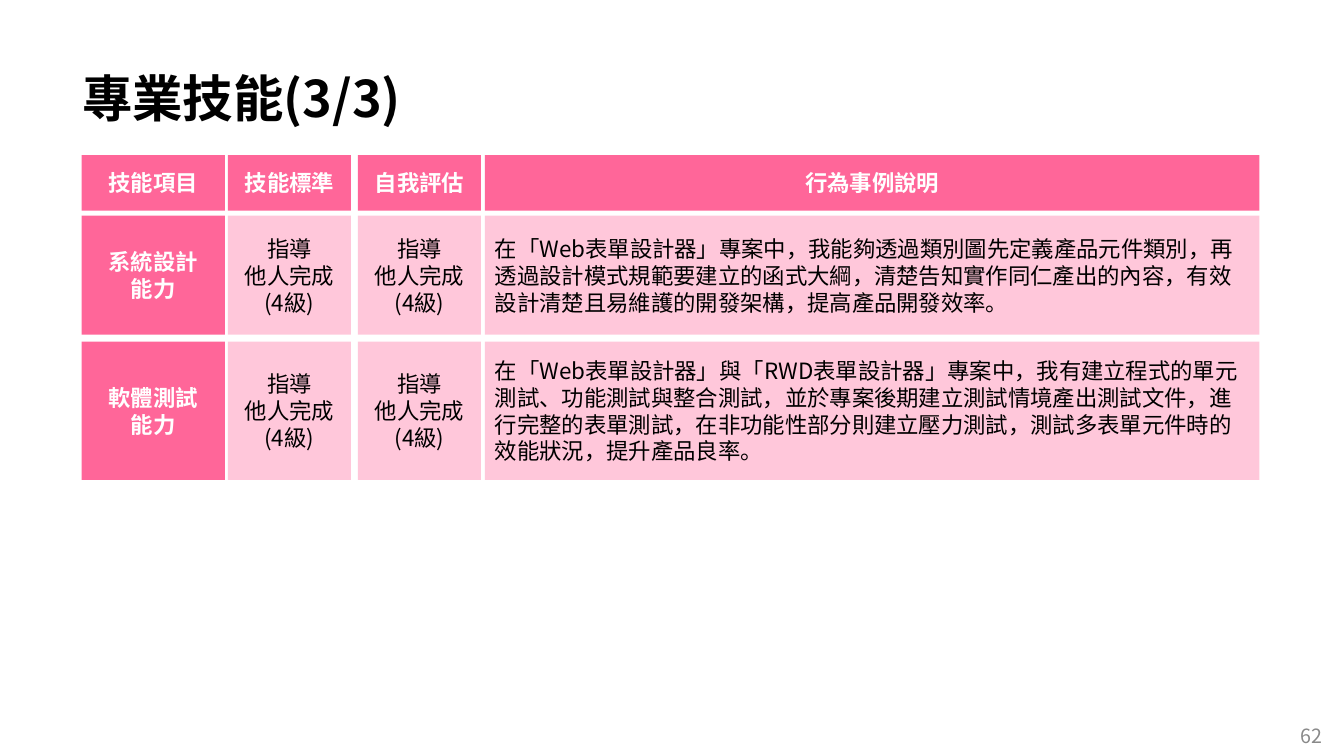
"""Builds the professional skills slide: a grid of skill cells with title and page number."""
from lxml import etree
from pptx import Presentation
from pptx.dml.color import RGBColor
from pptx.enum.shapes import MSO_SHAPE
from pptx.enum.text import MSO_ANCHOR, PP_ALIGN
from pptx.oxml.ns import qn
from pptx.util import Inches, Pt

RECT = MSO_SHAPE.RECTANGLE
TOP, MIDDLE = MSO_ANCHOR.TOP, MSO_ANCHOR.MIDDLE
LEFT, CENTER = PP_ALIGN.LEFT, PP_ALIGN.CENTER

FONT = "Noto Sans CJK SC"
PINK, WHITE, BLACK, GRAY = "FF6699", "FFFFFF", "000000", "898989"
TINT_ALPHA = 36

TITLE = "專業技能(3/3)"
PAGE_NUMBER = "62"
LEVEL = ["指導", "他人完成", "(4級)"]
ROWS = [
    [["技能項目"], ["技能標準"], ["自我評估"], ["行為事例說明"]],
    [["系統設計", "能力"], LEVEL, LEVEL,
     ["在「Web表單設計器」專案中，我能夠透過類別圖先定義產品元件類別，"
      "再透過設計模式規範要建立的函式大綱，清楚告知實作同仁產出的內容，"
      "有效設計清楚且易維護的開發架構，提高產品開發效率。"]],
    [["軟體測試", "能力"], LEVEL, LEVEL,
     ["在「Web表單設計器」與「RWD表單設計器」專案中，我有建立程式的單元測試、"
      "功能測試與整合測試，並於專案後期建立測試情境產出測試文件，"
      "進行完整的表單測試，在非功能性部分則建立壓力測試，"
      "測試多表單元件時的效能狀況，提升產品良率。"]],
]
COLUMNS = [(0.81, 1.42), (2.26, 1.22), (3.55, 1.22), (4.81, 7.68)]
BANDS = [(1.54, 0.55), (2.14, 1.18), (3.39, 1.37)]


def rgb(color):
    return RGBColor.from_string(color)


def write(sp, lines, size, color, bold=False, align=CENTER, anchor=MIDDLE):
    tf = sp.text_frame
    tf.word_wrap = True
    tf.vertical_anchor = anchor
    for i, line in enumerate(lines):
        p = tf.paragraphs[0] if i == 0 else tf.add_paragraph()
        p.alignment = align
        r = p.add_run()
        r.text = line
        r.font.size = Pt(size)
        r.font.bold = bold
        r.font.name = FONT
        r.font.color.rgb = rgb(color)
        etree.SubElement(r.font._element, qn("a:ea"), typeface=FONT)


def add_cell(s, box, lines, solid, align):
    sp = s.shapes.add_shape(RECT, *map(Inches, box))
    sp.shadow.inherit = False
    sp.line.fill.background()
    sp.fill.solid()
    sp.fill.fore_color.rgb = rgb(PINK)
    if not solid:
        clr = sp._element.spPr.find(qn("a:solidFill")).find(qn("a:srgbClr"))
        etree.SubElement(clr, qn("a:alpha"), val=str(TINT_ALPHA * 1000))
    write(sp, lines, 16, WHITE if solid else BLACK, solid, align)


def add_text(s, box, text, size, color, bold, anchor):
    sp = s.shapes.add_textbox(*map(Inches, box))
    write(sp, [text], size, color, bold, anchor=anchor)


def main():
    prs = Presentation()
    prs.slide_width, prs.slide_height = Inches(13.33), Inches(7.5)
    s = prs.slides.add_slide(prs.slide_layouts[6])
    add_text(s, (0.52, 0.62, 3.75, 0.74), TITLE, 36, BLACK, True, TOP)
    for i, (row, (y, h)) in enumerate(zip(ROWS, BANDS)):
        for j, (lines, (x, w)) in enumerate(zip(row, COLUMNS)):
            solid = i == 0 or j == 0
            align = LEFT if i > 0 and j == len(COLUMNS) - 1 else CENTER
            add_cell(s, (x, y, w, h), lines, solid, align)
    add_text(s, (12.65, 7.1, 0.71, 0.4), PAGE_NUMBER, 14, GRAY, False, MIDDLE)
    prs.save("out.pptx")


if __name__ == "__main__":
    main()
